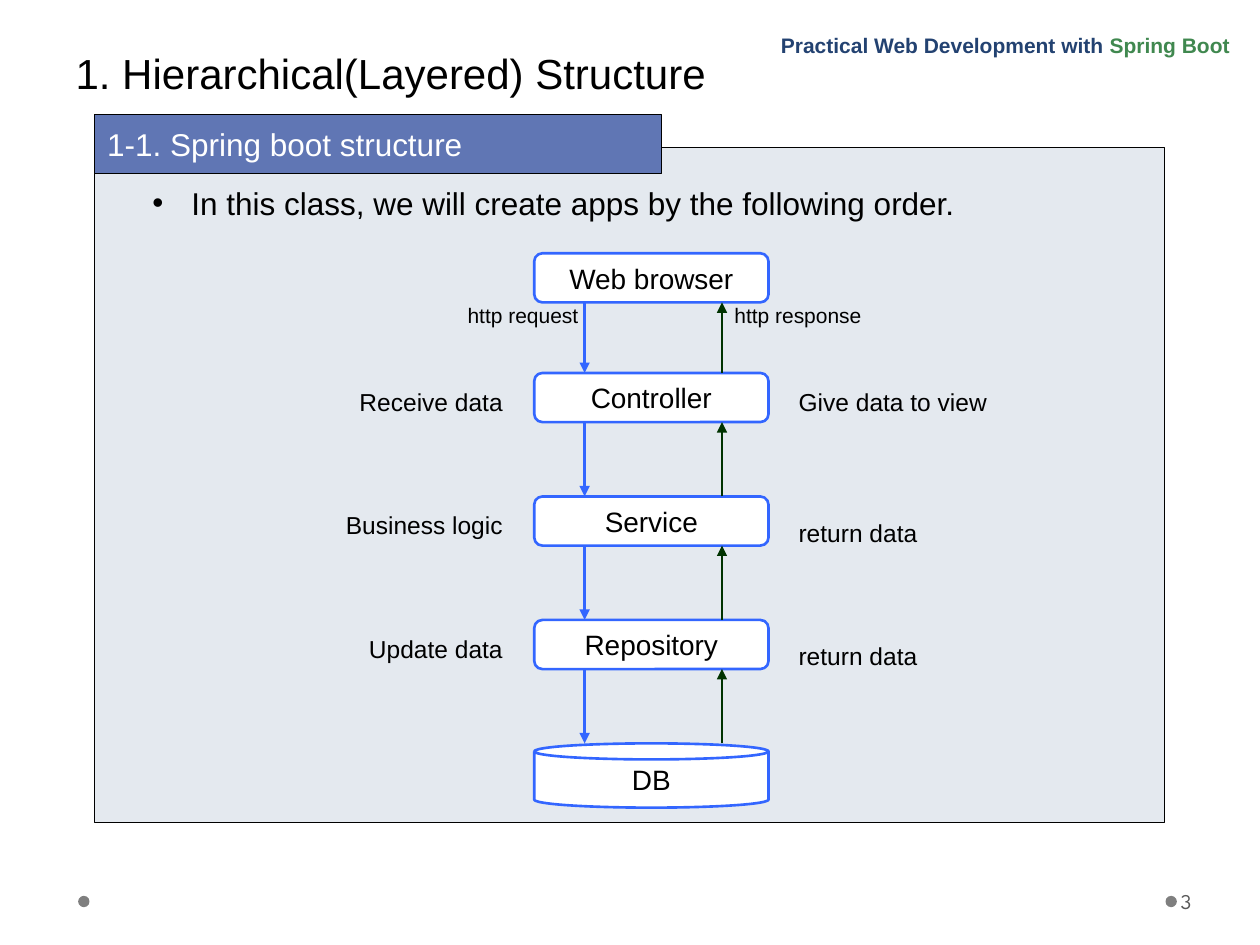
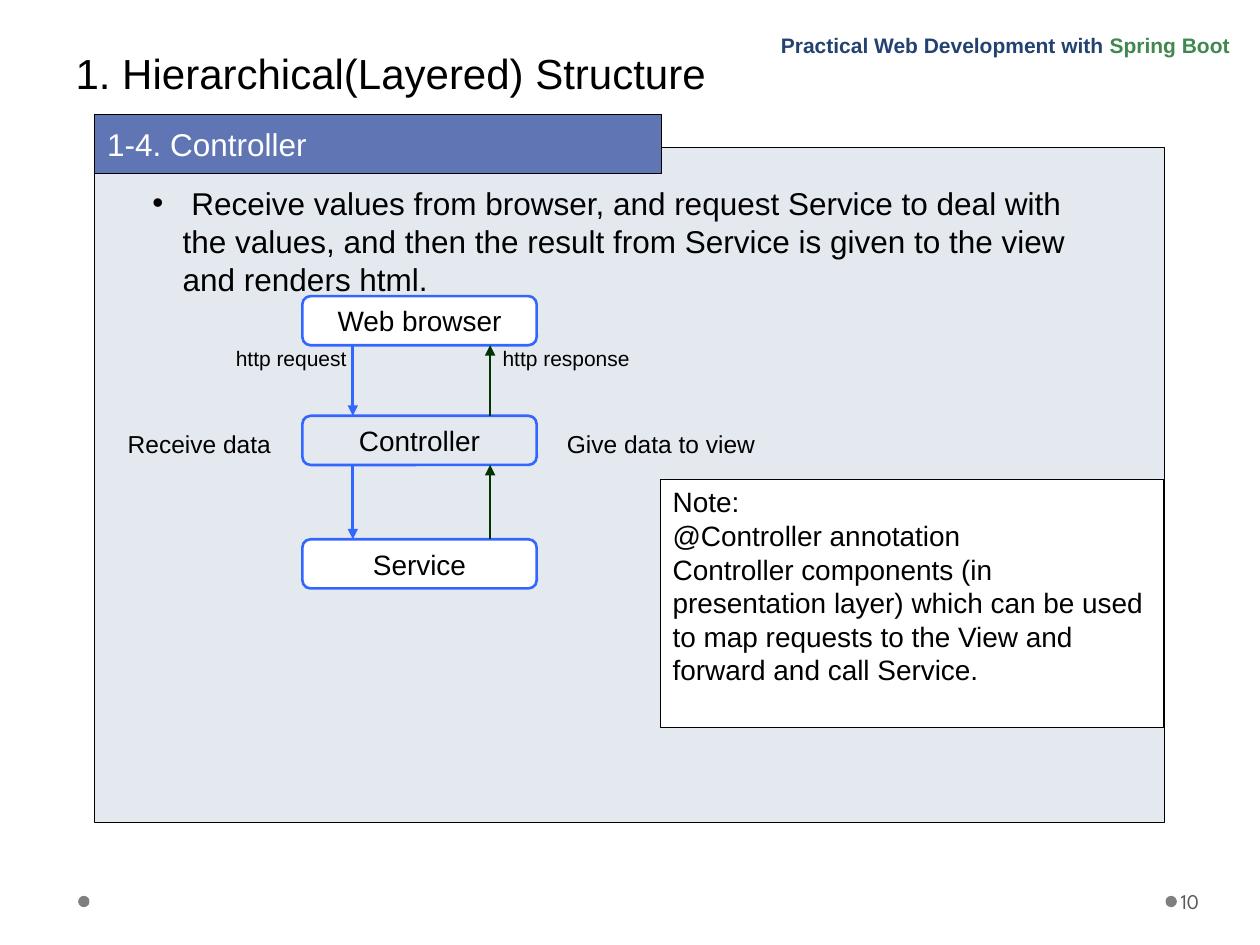
from dataclasses import dataclass

from lxml import etree
from pptx import Presentation
from pptx import util as u
from pptx.dml.color import RGBColor
from pptx.enum import shapes, text
from pptx.oxml.ns import qn

# The slide is a grid of 10 columns by 7.5 rows, each cell one inch
CELL = u.Inches(1)
COLUMNS, ROWS = 10, 7.5


@dataclass(frozen=True)
class Theme:
    font: str = "Arial"
    number_font: str = "League Spartan"
    black: str = "000000"
    white: str = "FFFFFF"
    panel: str = "E4E9EF"
    band: str = "6076B4"
    dot: str = "7F7F7F"
    number: str = "595959"
    course: str = "234271"
    framework: str = "40884F"
    request: str = "3366FF"
    response: str = "003300"
    title_size: float = 24
    body_size: float = 18
    node_size: float = 16
    note_size: float = 14
    small_size: float = 12
    thin: float = 0.75
    thick: float = 1.5


THEME = Theme()
ALIGN = text.PP_ALIGN
ANCHOR = text.MSO_ANCHOR
SHAPE = shapes.MSO_SHAPE

# Diagram measures, relative to the left and top of its first node
NODE_WIDTH, NODE_HEIGHT, DB_HEIGHT = 1.86, 0.39, 0.51
FIRST_STEP, STEP = 0.95, 0.98
REQUEST_X, RESPONSE_X = 0.4, 1.49

# Name, left note and right note of each layer, with the notes' widths
CONTROLLER = ("Controller", ("Receive data", 1.34), ("Give data to view", 1.7))
LAYERS = [
    ("Web browser", None, None),
    CONTROLLER,
    ("Service", ("Business logic", 1.44), ("return data", 1.14)),
    ("Repository", ("Update data", 1.26), ("return data", 1.14)),
    ("DB", None, None),
]
CONTROLLER_LAYERS = [LAYERS[0], CONTROLLER, ("Service", None, None)]


def cells(*counts):
    return [round(count * CELL) for count in counts]


def rgb(color):
    return RGBColor.from_string(color)


def style(font, size, color=THEME.black, name=THEME.font, bold=False):
    font.size, font.name, font.bold = u.Pt(size), name, bold
    font.color.rgb = rgb(color)


def move(shape, *place):
    shape.left, shape.top, shape.width, shape.height = cells(*place)


def paint(shape, fill, line=None, width=THEME.thin):
    shape.fill.solid()
    shape.fill.fore_color.rgb = rgb(fill)
    if line:
        shape.line.color.rgb = rgb(line)
        shape.line.width = u.Pt(width)
    else:
        shape.line.fill.background()


def write(shape, lines, size, color=THEME.black, align=ALIGN.LEFT,
          anchor=ANCHOR.TOP, wrap=True, name=THEME.font):
    frame = shape.text_frame
    frame.auto_size = text.MSO_AUTO_SIZE.NONE
    frame.word_wrap, frame.vertical_anchor = wrap, anchor
    frame.text = lines
    for paragraph in frame.paragraphs:
        paragraph.alignment = align
        paragraph.space_before = u.Pt(0)
        style(paragraph.font, size, color, name)
    return frame


def indent(paragraph, hanging, bullet=None):
    properties = paragraph._p.get_or_add_pPr()
    distance, = cells(hanging)
    properties.set("marL", str(distance))
    properties.set("indent", str(-distance))
    if bullet:
        mark = etree.Element(qn("a:buChar"), char=bullet)
    else:
        mark = etree.Element(qn("a:buNone"))
    properties.append(mark)


def add_box(page, kind, place, fill, line=None, width=THEME.thin):
    box = page.shapes.add_shape(kind, *cells(*place))
    box.shadow.inherit = False
    paint(box, fill, line, width)
    return box


def add_label(page, content, place, size, **options):
    label = page.shapes.add_textbox(*cells(*place))
    return write(label, content, size, **options)


def add_arrow(page, x, start, end, color):
    arrow = page.shapes.add_connector(
        shapes.MSO_CONNECTOR.STRAIGHT, *cells(x, start, x, end))
    arrow.line.color.rgb = rgb(color)
    arrow.line.width = u.Pt(THEME.thick)
    etree.SubElement(arrow.line._get_or_add_ln(), qn("a:tailEnd"), type="triangle")
    etree.SubElement(arrow._element.spPr, qn("a:effectLst"))


def add_page(deck, heading, point, number):
    """Add a slide with the shared title, band, panel, header and footer."""
    page = deck.slides.add_slide(deck.slide_layouts.get_by_name("Two Content"))
    title, band, body = page.placeholders

    # Panel, behind the placeholders
    panel = add_box(page, SHAPE.RECTANGLE, (0.75, 1.17, 8.49, 5.36),
                    THEME.panel, THEME.black)
    page.shapes._spTree.insert(2, panel._element)

    # Title, section band and bullet
    move(title, 0.5, 0, 5.6, 1.61)
    frame = write(title, "1. Hierarchical(Layered) Structure", THEME.title_size)
    frame.margin_top, = cells(0.38)

    move(band, 0.75, 0.91, 4.5, 0.47)
    paint(band, THEME.band, THEME.black)
    paragraph = write(band, heading, THEME.body_size, THEME.white).paragraphs[0]
    paragraph.line_spacing, paragraph.space_before = 1.1, u.Pt(4.5)
    indent(paragraph, 0.38)

    move(body, 1.11, 1.41, 7.74, 1)
    indent(write(body, point, THEME.body_size).paragraphs[0], 0.24, "•")

    # Course name
    course = add_label(page, "", (6.1, 0.23, 3.9, 0.28), THEME.small_size,
                       anchor=ANCHOR.BOTTOM).paragraphs[0]
    for words, color in (("Practical Web Development with ", THEME.course),
                         ("Spring Boot", THEME.framework)):
        span = course.add_run()
        span.text = words
        style(span.font, THEME.small_size, color, bold=True)

    # Footer
    for x in (0.62, 9.25):
        add_box(page, SHAPE.OVAL, (x, 7.11, 0.09, 0.09), THEME.dot)
    footer = add_label(page, str(number), (9.34, 6.95, 0.61, 0.4),
                       THEME.small_size, color=THEME.number,
                       anchor=ANCHOR.MIDDLE, name=THEME.number_font)
    footer.margin_left, footer.margin_right = cells(0.03, 0.05)
    return page


def add_side_label(page, label, edge, y, size, on_left):
    """Place a label that ends (on the left) or starts at an edge."""
    words, width = label
    left = edge - width if on_left else edge
    add_label(page, words, (left, y, width, 0.34), size, wrap=False,
              align=ALIGN.RIGHT if on_left else ALIGN.LEFT)


def add_node(page, name, left, top, fill):
    is_store = name == "DB"
    kind = SHAPE.CAN if is_store else SHAPE.ROUNDED_RECTANGLE
    height = DB_HEIGHT if is_store else NODE_HEIGHT
    node = add_box(page, kind, (left, top, NODE_WIDTH, height),
                   fill, THEME.request, THEME.thick)
    write(node, name, THEME.node_size, align=ALIGN.CENTER,
          anchor=ANCHOR.MIDDLE, wrap=False)


def add_flow(page, layers, left, top, current=None):
    """Stack the layers and link neighbours with request and response arrows."""
    tops = [top] + [top + FIRST_STEP + STEP * i for i in range(len(layers) - 1)]
    for (name, note_in, note_out), y in zip(layers, tops):
        add_node(page, name, left, y,
                 THEME.panel if name == current else THEME.white)
        if note_in:
            add_side_label(page, note_in, left - 0.15, y + 0.06,
                           THEME.note_size, True)
        if note_out:
            drop = 0.12 if note_out[0] == "return data" else 0.06
            add_side_label(page, note_out, left + 2, y + drop,
                           THEME.note_size, False)

    for upper, lower in zip(tops, tops[1:]):
        bottom = upper + NODE_HEIGHT
        add_arrow(page, left + REQUEST_X, bottom, lower, THEME.request)
        add_arrow(page, left + RESPONSE_X, lower, bottom, THEME.response)

    label_top = top + 0.34
    add_side_label(page, ("http request", 1.08), left + 0.45, label_top,
                   THEME.small_size, True)
    add_side_label(page, ("http response", 1.21), left + RESPONSE_X, label_top,
                   THEME.small_size, False)


def main():
    deck = Presentation()
    deck.slide_width, deck.slide_height = cells(COLUMNS, ROWS)

    # Overall structure
    page = add_page(deck, "1-1. Spring boot structure",
                    " In this class, we will create apps by the following order.", 3)
    add_flow(page, LAYERS, 4.24, 2.01)

    # Controller layer
    page = add_page(deck, "1-4. Controller",
                    " Receive values from browser, and request Service to deal with "
                    "the values, and then the result from Service is given to the "
                    "view and renders html.", 10)
    add_flow(page, CONTROLLER_LAYERS, 2.4, 2.35, current="Controller")
    note = add_box(page, SHAPE.RECTANGLE, (5.24, 3.8, 3.99, 1.97),
                   THEME.white, THEME.black, 0.25)
    write(note, "Note:\n@Controller annotation\nController components (in "
          "presentation layer) which can be used to map requests to the View "
          "and forward and call Service.", THEME.node_size)

    deck.save("out.pptx")


if __name__ == "__main__":
    main()
